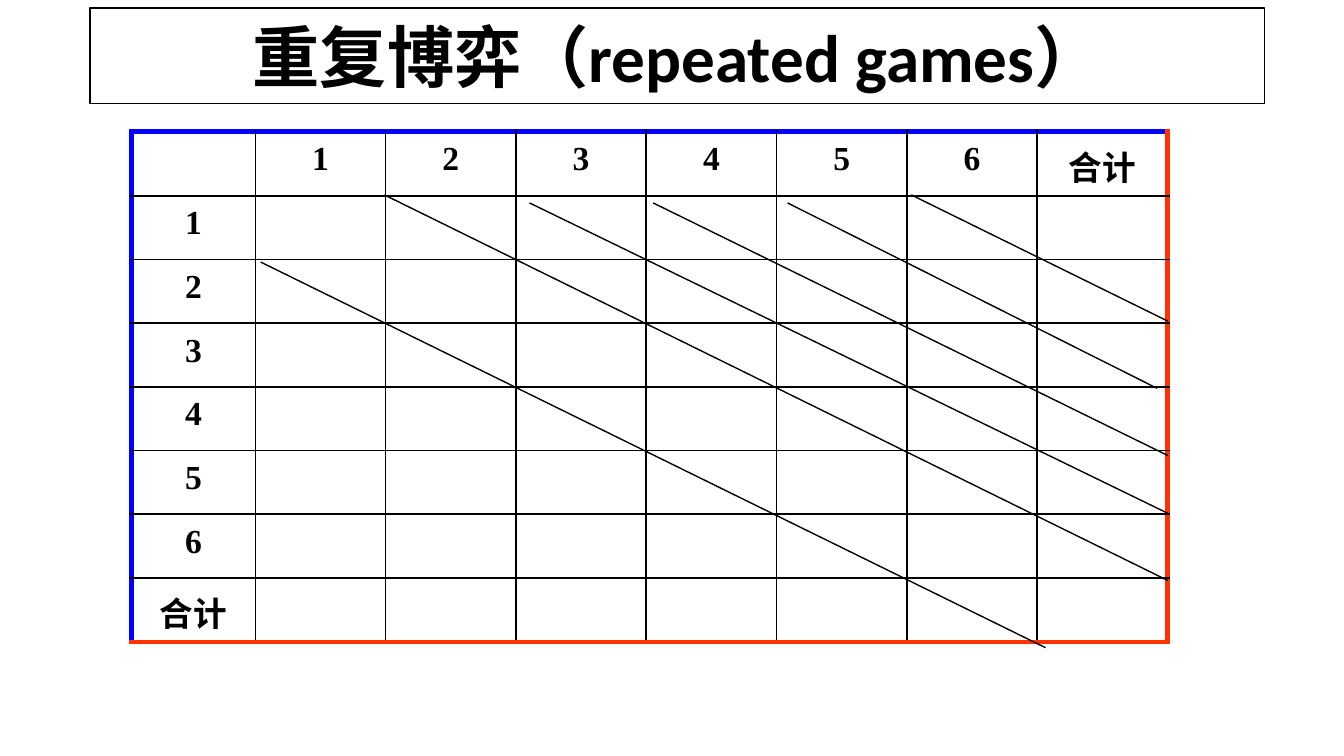
from typing import NamedTuple

from lxml import etree
from pptx import Presentation
from pptx.dml.color import RGBColor
from pptx.enum.shapes import MSO_CONNECTOR, MSO_SHAPE
from pptx.enum.text import MSO_ANCHOR, PP_ALIGN
from pptx.oxml.ns import qn
from pptx.util import Inches, Pt

BLACK = RGBColor(0x00, 0x00, 0x00)
BLUE = RGBColor(0x00, 0x00, 0xFF)
RED = RGBColor(0xFF, 0x33, 0x00)

STRAIGHT = MSO_CONNECTOR.STRAIGHT
RECTANGLE = MSO_SHAPE.RECTANGLE
CENTER = PP_ALIGN.CENTER
MIDDLE = MSO_ANCHOR.MIDDLE
TOP = MSO_ANCHOR.TOP

# Widescreen 16:9
SLIDE_WIDTH = Inches(10)
SLIDE_HEIGHT = SLIDE_WIDTH * 9 // 16

LABELS = ["", "1", "2", "3", "4", "5", "6", "合计"]
SIZE = len(LABELS)
LAST = SIZE - 1
TABLE_WIDTH = Inches(7.71)
TABLE_HEIGHT = Inches(3.79)
COLUMN_WIDTH = Inches(0.97)
FIRST_COLUMN_WIDTH = TABLE_WIDTH - LAST * COLUMN_WIDTH
ROW_HEIGHT = TABLE_HEIGHT // SIZE

TITLE_FONT = {"name": "Calibri", "size": Pt(36), "bold": True}
LABEL_FONT = {"name": "Times New Roman", "size": Pt(18), "bold": True}
LABEL_PARAGRAPH = {"alignment": CENTER, "line_spacing": 1.1, "space_before": Pt(3.6)}
CELL_FORMAT = {
    "margin_left": Inches(0.1),
    "margin_right": Inches(0.1),
    "margin_top": Inches(0.04),
    "margin_bottom": Inches(0.04),
    "vertical_anchor": TOP,
}


class Border(NamedTuple):
    color: RGBColor
    width: float


class Diagonal(NamedTuple):
    left: float
    top: float
    right: float
    bottom: float


INNER = Border(BLACK, 1)
UPPER_LEFT = Border(BLUE, 3)
LOWER_RIGHT = Border(RED, 3)

DIAGONALS = [
    Diagonal(2.86, 1.45, 8.69, 4.32),
    Diagonal(1.94, 1.95, 7.78, 4.82),
    Diagonal(3.94, 1.51, 8.69, 3.82),
    Diagonal(4.86, 1.51, 8.69, 3.39),
    Diagonal(5.86, 1.51, 8.61, 2.89),
    Diagonal(6.78, 1.45, 8.69, 2.39),
]


def apply_format(target, values: dict) -> None:
    for name, value in values.items():
        setattr(target, name, value)


def write_text(paragraph, text: str, font: dict) -> None:
    run = paragraph.add_run()
    run.text = text
    apply_format(run.font, font)
    run.font.color.rgb = BLACK


def draw_border(cell, side: str, border: Border) -> None:
    properties = cell._tc.get_or_add_tcPr()
    line = etree.SubElement(properties, qn(f"a:ln{side}"), w=str(Pt(border.width)))
    fill = etree.SubElement(line, qn("a:solidFill"))
    etree.SubElement(fill, qn("a:srgbClr"), val=str(border.color))


def format_cell(cell, row: int, column: int) -> None:
    apply_format(cell, CELL_FORMAT)
    draw_border(cell, "L", UPPER_LEFT if column == 0 else INNER)
    draw_border(cell, "R", LOWER_RIGHT if column == LAST else INNER)
    draw_border(cell, "T", UPPER_LEFT if row == 0 else INNER)
    draw_border(cell, "B", LOWER_RIGHT if row == LAST else INNER)
    cell.fill.background()
    # Labels run along the first row and the first column
    label = LABELS[max(row, column)] if 0 in (row, column) else ""
    if label:
        paragraph = cell.text_frame.paragraphs[0]
        apply_format(paragraph, LABEL_PARAGRAPH)
        write_text(paragraph, label, LABEL_FONT)


def draw_table(slide) -> None:
    table = slide.shapes.add_table(
        SIZE, SIZE, Inches(0.98), Inches(0.98), TABLE_WIDTH, TABLE_HEIGHT
    ).table
    table.first_row = False
    table.horz_banding = False
    for index in range(SIZE):
        table.columns[index].width = COLUMN_WIDTH if index else FIRST_COLUMN_WIDTH
        table.rows[index].height = ROW_HEIGHT
    for row in range(SIZE):
        for column in range(SIZE):
            format_cell(table.cell(row, column), row, column)


def draw_diagonal(slide, diagonal: Diagonal) -> None:
    connector = slide.shapes.add_connector(STRAIGHT, *map(Inches, diagonal))
    connector.line.color.rgb = BLACK
    connector.line.width = Pt(0.75)
    etree.SubElement(connector._element.spPr, qn("a:effectLst"))


def draw_title(slide) -> None:
    shape = slide.shapes.add_shape(
        RECTANGLE, Inches(0.67), Inches(0.06), Inches(8.74), Inches(0.71)
    )
    shape.shadow.inherit = False
    shape.fill.background()
    shape.line.color.rgb = BLACK
    shape.line.width = Pt(0.75)
    apply_format(shape.text_frame, {"word_wrap": True, "vertical_anchor": MIDDLE})
    paragraph = shape.text_frame.paragraphs[0]
    paragraph.alignment = CENTER
    write_text(paragraph, "重复博弈（repeated games）", TITLE_FONT)


def main() -> None:
    presentation = Presentation()
    presentation.slide_width = SLIDE_WIDTH
    presentation.slide_height = SLIDE_HEIGHT
    slide = presentation.slides.add_slide(presentation.slide_layouts[6])

    # Payoff grid with its diagonals
    draw_table(slide)
    for diagonal in DIAGONALS:
        draw_diagonal(slide, diagonal)

    # Framed title
    draw_title(slide)
    presentation.save("out.pptx")


if __name__ == "__main__":
    main()
